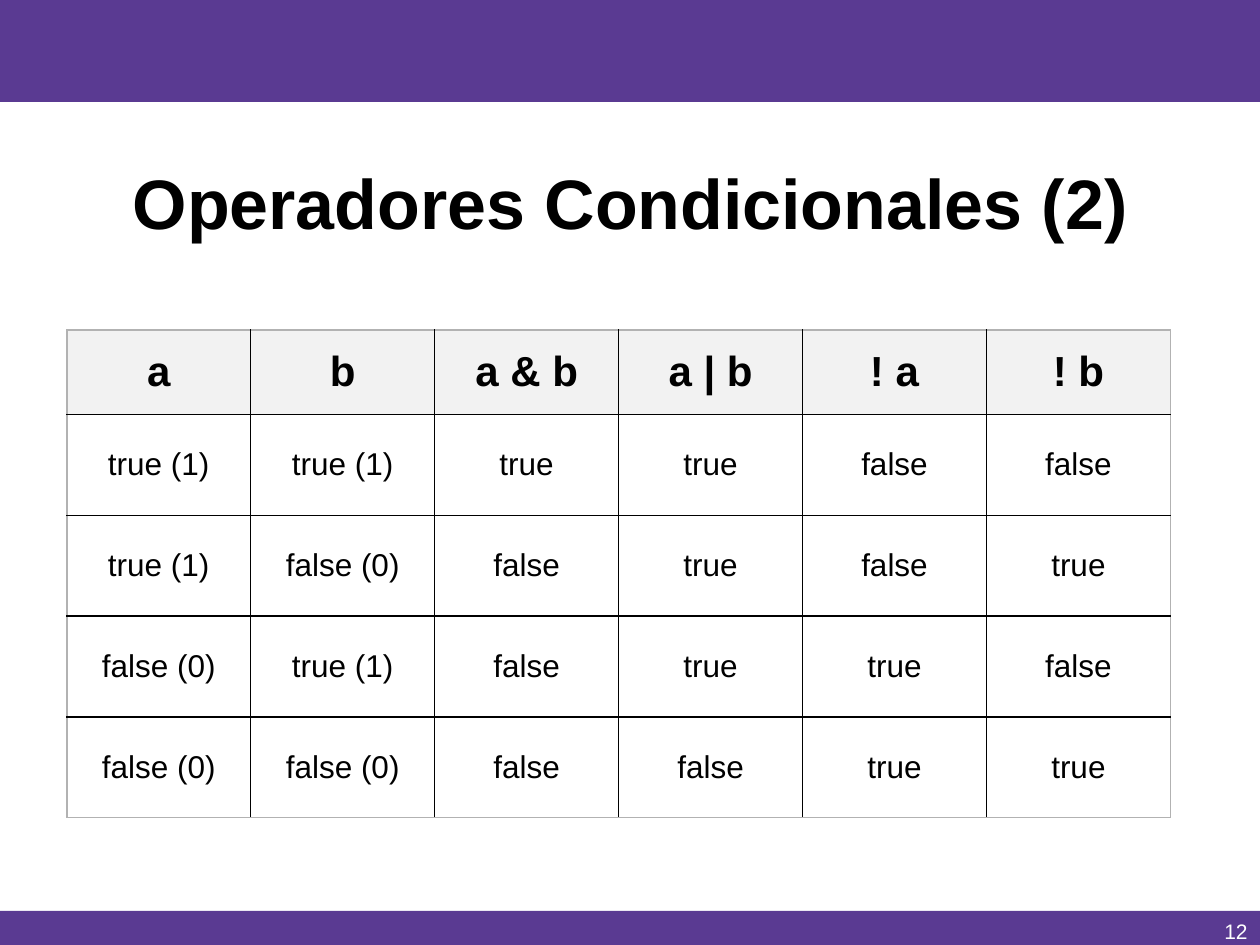
"""Build a slide with the truth table of the conditional operators."""
from itertools import product

from lxml.etree import SubElement
from pptx import Presentation
from pptx.dml.color import RGBColor
from pptx.enum.shapes import MSO_SHAPE
from pptx.enum.text import MSO_ANCHOR, PP_ALIGN
from pptx.oxml.ns import qn
from pptx.util import Inches, Pt

PURPLE = RGBColor(0x5A, 0x3A, 0x92)
BLACK = RGBColor(0, 0, 0)
WHITE = RGBColor(0xFF, 0xFF, 0xFF)
HEADER = RGBColor(0xF2, 0xF2, 0xF2)
EDGE = RGBColor(0xB2, 0xB2, 0xB2)


class SlideBuilder:
    """Hold the slide style and add each kind of element."""

    font = "Arial"

    def __init__(self, prs):
        self.s = prs.slides.add_slide(prs.slide_layouts[6])

    def style(self, p, size, color=BLACK, bold=False, align=PP_ALIGN.CENTER):
        """Set the alignment and font of a paragraph."""
        p.alignment = align
        p.font.name = self.font
        p.font.size = Pt(size)
        p.font.bold = bold
        p.font.color.rgb = color

    def band(self, top, height):
        """Add a purple band across the slide."""
        sp = self.s.shapes.add_shape(
            MSO_SHAPE.RECTANGLE, 0, Inches(top), Inches(10), Inches(height))
        sp.shadow.inherit = False
        sp.fill.solid()
        sp.fill.fore_color.rgb = PURPLE
        sp.line.fill.background()

    def text(self, text, left, top, width, height, size, spacing=1.0, **style):
        """Add a vertically centred text box."""
        sp = self.s.shapes.add_textbox(
            Inches(left), Inches(top), Inches(width), Inches(height))
        tf = sp.text_frame
        tf.word_wrap = True
        tf.vertical_anchor = MSO_ANCHOR.MIDDLE
        p = tf.paragraphs[0]
        p.text = text
        p.line_spacing = spacing
        self.style(p, size, **style)

    def borders(self, cell, colors):
        """Draw the left, right, top and bottom borders of a cell."""
        tc_pr = cell._tc.get_or_add_tcPr()
        for side, color in zip("LRTB", colors):
            ln = SubElement(tc_pr, qn(f"a:ln{side}"), w=str(Pt(1)))
            fill = SubElement(ln, qn("a:solidFill"))
            SubElement(fill, qn("a:srgbClr"), val=str(color))

    def table(self, rows, left, top, col_width, heights):
        """Add a table with a shaded header and a light outer edge."""
        last_row, last_col = len(rows) - 1, len(rows[0]) - 1
        table = self.s.shapes.add_table(
            len(rows), len(rows[0]), Inches(left), Inches(top),
            Inches(col_width * len(rows[0])), Inches(sum(heights))).table
        table.first_row = table.horz_banding = False
        for column in table.columns:
            column.width = Inches(col_width)
        for i, (values, height) in enumerate(zip(rows, heights)):
            table.rows[i].height = Inches(height)
            for j, value in enumerate(values):
                cell = table.cell(i, j)
                outer = (j == 0, j == last_col, i == 0, i == last_row)
                self.borders(cell, [EDGE if edge else BLACK for edge in outer])
                cell.vertical_anchor = MSO_ANCHOR.MIDDLE
                p = cell.text_frame.paragraphs[0]
                p.text = value
                if i == 0:
                    cell.fill.solid()
                    cell.fill.fore_color.rgb = HEADER
                    cell.margin_left = cell.margin_right = Inches(0.1)
                    cell.margin_top = cell.margin_bottom = Inches(0.1)
                    self.style(p, 24, bold=True)
                else:
                    cell.fill.background()
                    self.style(p, 18)


def truth_rows():
    """Return the header and one row for each pair of operands."""
    rows = [["a", "b", "a & b", "a | b", "! a", "! b"]]
    for a, b in product((True, False), repeat=2):
        operands = [f"{str(v).lower()} ({int(v)})" for v in (a, b)]
        results = [str(v).lower() for v in (a and b, a or b, not a, not b)]
        rows.append(operands + results)
    return rows


def main():
    """Build and save the slide."""
    prs = Presentation()
    prs.slide_width, prs.slide_height = Inches(10), Inches(7.5)
    slide = SlideBuilder(prs)
    slide.band(0, 0.81)
    slide.band(7.23, 0.31)
    slide.text("Operadores Condicionales (2)", 0.69, 0.98, 8.62, 1.33, 40,
               spacing=0.9, bold=True)
    slide.text("12", 7.75, 7.19, 2.25, 0.4, 12, color=WHITE, align=PP_ALIGN.RIGHT)
    slide.table(truth_rows(), 0.53, 2.62, 1.46, [0.67] + [0.8] * 4)
    prs.save("out.pptx")


if __name__ == "__main__":
    main()
